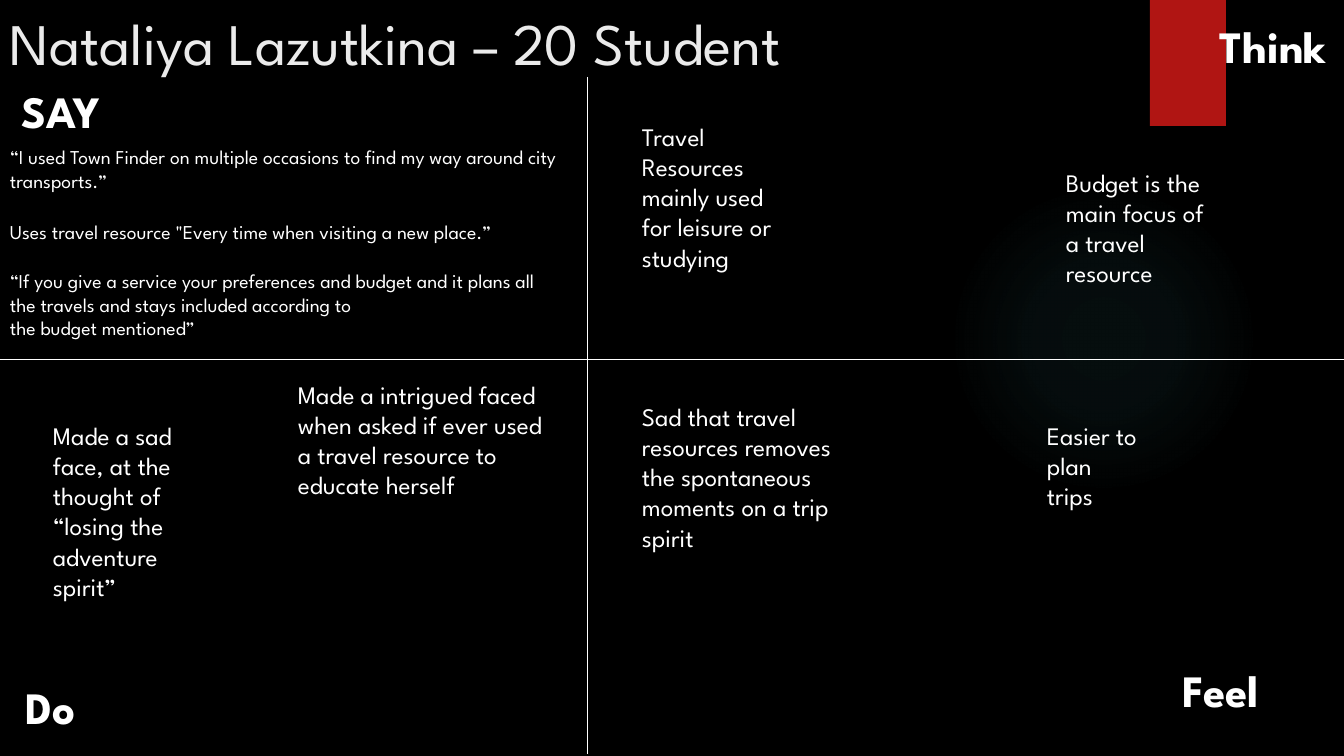
from lxml import etree
from pptx import Presentation
from pptx import util as u
from pptx.dml.color import RGBColor
from pptx.enum import shapes, text
from pptx.oxml import ns, parse_xml

PX = u.Inches(7.5) / 756
SLIDE_W, SLIDE_H = 1344, 756

THEME = {
    "font": "League Spartan",
    "background": "000000", "title": "EBEBEB", "text": "FFFFFF",
    "ribbon": "B01513", "glow": "50B9C1",
    "title_size": 42, "heading_size": 32, "note_size": 18, "quote_size": 14,
}

# Each text: (left, top, width, height), then its paragraphs
TITLE = ((0, 2, 1037, 98), ["Nataliya Lazutkina – 20 Student"])
HEADINGS = [
    ((12, 79, 106, 65), ["SAY"]),
    ((1210, 14, 134, 65), ["Think"]),
    ((16, 675, 106, 65), ["Do"]),
    ((1173, 658, 128, 65), ["Feel"]),
]
QUOTES = [
    ((0, 140, 577, 57), ["“I used Town Finder on multiple occasions to find my way "
                         "around city transports.”"]),
    ((0, 215, 561, 57), ["Uses travel resource \"Every time when visiting a new place.”"]),
    ((0, 264, 561, 82), ["“If you give a service your preferences and budget and it plans "
                         "all the travels and stays included according to",
                         "the budget mentioned”"]),
]
NOTES = [
    ((632, 116, 168, 163), ["Travel Resources mainly used for leisure or studying"]),
    ((1056, 162, 168, 163), ["Budget is the main focus of a travel resource"]),
    ((43, 415, 173, 194), ["Made a sad face, at the thought of “losing the adventure spirit”"]),
    ((288, 374, 275, 163), ["Made a intrigued faced when asked if ever used a travel "
                            "resource to educate herself"]),
    ((632, 396, 223, 194), ["Sad that travel resources removes the spontaneous moments "
                            "on a trip spirit"]),
    ((1037, 415, 114, 102), ["Easier to plan trips"]),
]
AXES = [(588, 77, 588, 754), (0, 360, SLIDE_W, 360)]
RIBBON = (1150, 0, 76, 126)
GLOW = (949, 184, 310, 310)
GLOW_STOPS = [(0, 7), (36, 6), (69, 0)]  # position %, opacity %


def emu(lengths):
    return [round(length * PX) for length in lengths]


def color(name):
    return RGBColor.from_string(THEME[name])


def add_plain_shape(slide, kind, box, fill):
    shape = slide.shapes.add_shape(kind, *emu(box))
    shape.shadow.inherit = False
    shape.fill.solid()
    shape.fill.fore_color.rgb = color(fill)
    shape.line.fill.background()
    return shape


def add_glow(slide):
    """Circle whose faint colour fades out from its centre."""
    glow = add_plain_shape(slide, shapes.MSO_SHAPE.OVAL, GLOW, "glow")
    stops = "".join(
        f'<a:gs pos="{pos * 1000}"><a:srgbClr val="{THEME["glow"]}">'
        f'<a:alpha val="{opacity * 1000}"/></a:srgbClr></a:gs>'
        for pos, opacity in GLOW_STOPS)
    gradient = parse_xml(
        f'<a:gradFill {ns.nsdecls("a")}><a:gsLst>{stops}</a:gsLst><a:path path="circle">'
        '<a:fillToRect l="50000" t="50000" r="50000" b="50000"/></a:path></a:gradFill>')
    properties = glow.element.spPr
    properties.replace(properties.find(ns.qn("a:solidFill")), gradient)


def add_axis(slide, ends):
    axis = slide.shapes.add_connector(shapes.MSO_CONNECTOR.STRAIGHT, *emu(ends))
    axis.line.color.rgb = color("text")
    axis.line.width = u.Pt(0.75)
    etree.SubElement(axis.element.spPr, ns.qn("a:effectLst"))


def add_text(slide, box, paragraphs, size, ink="text", bold=False):
    frame = slide.shapes.add_textbox(*emu(box)).text_frame
    frame.word_wrap = True
    frame.auto_size = text.MSO_AUTO_SIZE.NONE
    for i, wording in enumerate(paragraphs):
        paragraph = frame.add_paragraph() if i else frame.paragraphs[0]
        run = paragraph.add_run()
        run.text = wording
        run.font.name = THEME["font"]
        run.font.size = u.Pt(THEME[size])
        run.font.bold = bold
        run.font.color.rgb = color(ink)


def main():
    deck = Presentation()
    deck.slide_width, deck.slide_height = emu((SLIDE_W, SLIDE_H))
    slide = deck.slides.add_slide(deck.slide_layouts[6])
    slide.background.fill.solid()
    slide.background.fill.fore_color.rgb = color("background")

    add_glow(slide)
    add_plain_shape(slide, shapes.MSO_SHAPE.RECTANGLE, RIBBON, "ribbon")
    add_text(slide, *TITLE, "title_size", ink="title")
    for ends in AXES:
        add_axis(slide, ends)
    for heading in HEADINGS:
        add_text(slide, *heading, "heading_size", bold=True)
    for quote in QUOTES:
        add_text(slide, *quote, "quote_size")
    for note in NOTES:
        add_text(slide, *note, "note_size")
    deck.save("out.pptx")


if __name__ == "__main__":
    main()
